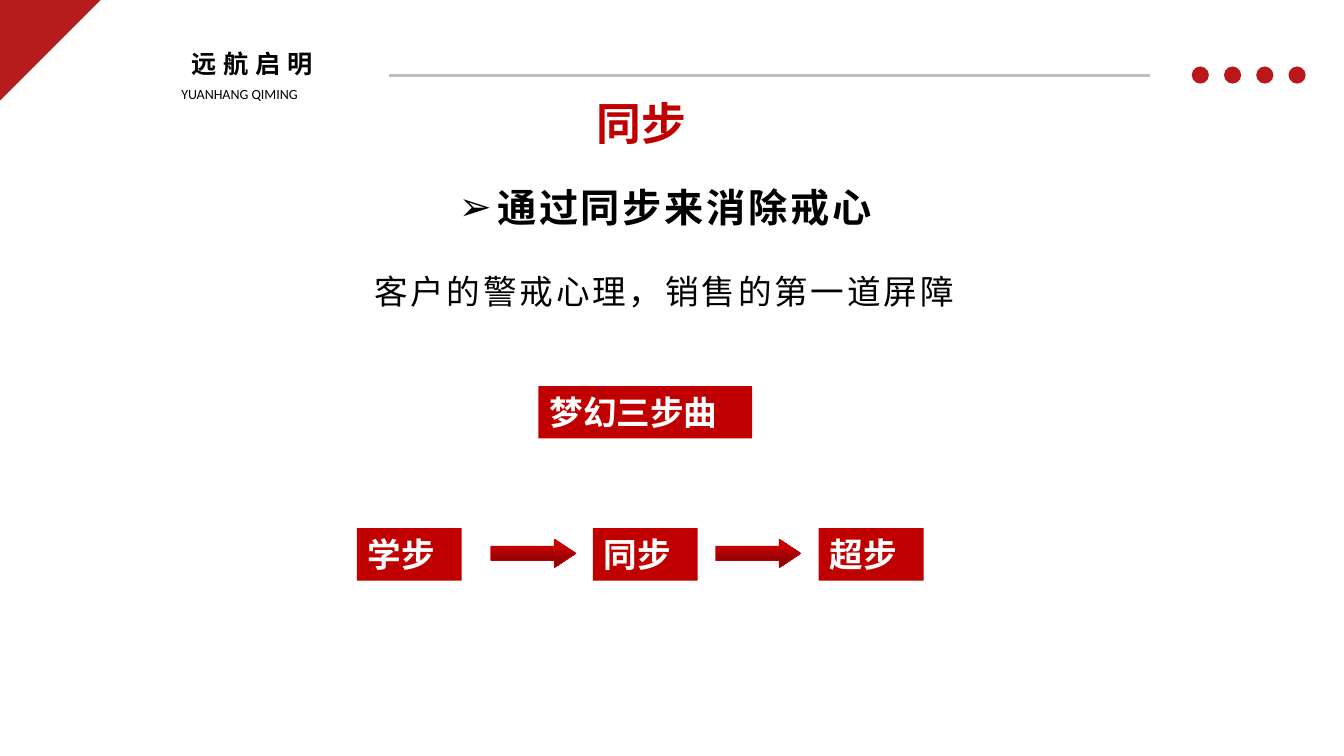
"""Build the slide on synchronising steps to win a customer's trust."""
from lxml import etree
from pptx import Presentation, util as u
from pptx.dml.color import RGBColor
from pptx.enum import shapes, text
from pptx.oxml.ns import qn

RED = RGBColor(0xC0, 0x00, 0x00)
WEDGE = RGBColor(0xB7, 0x1C, 0x1C)
DOT = RGBColor(0xB9, 0x17, 0x1C)
LIGHT = RGBColor(0xE3, 0x00, 0x00)
DARK = RGBColor(0x76, 0x03, 0x03)
GREY = RGBColor(0xBF, 0xBF, 0xBF)
BLACK = RGBColor(0, 0, 0)
WHITE = RGBColor(255, 255, 255)
CJK = "Noto Sans CJK SC"
LEFT, MID = text.PP_ALIGN.LEFT, text.PP_ALIGN.CENTER


def write(par, words, color, align=LEFT, gap=0, face=CJK, **look):
    run = par.add_run()
    run.text = words
    par.alignment = align
    for key, val in {"name": face, "bold": True, **look}.items():
        setattr(run.font, key, val)
    run.font.color.rgb = color
    props = run.font._element
    etree.SubElement(props, qn("a:ea"), typeface=CJK)
    if gap:
        props.set("spc", str(gap * 100))


def place(shape, left, top, width, height):
    spots = {"left": left, "top": top, "width": width, "height": height}
    for key, val in spots.items():
        setattr(shape, key, u.Inches(val))


prs = Presentation()
prs.slide_width, prs.slide_height = u.Inches(13.33), u.Inches(7.5)
slide = prs.slides.add_slide(prs.slide_layouts[1])
items = slide.shapes
title, body = slide.placeholders

pen = items.build_freeform(0, 0, scale=u.Inches(1))
pen.add_line_segments([(0.54, 0), (0, 1.39)], close=True)
wedge = pen.convert_to_shape()
wedge.shadow.inherit = False
wedge.fill.solid()
wedge.fill.fore_color.rgb = WEDGE
wedge.line.fill.background()

for words, spot, look in [
    ("远航启明", (1.8, 0.43, 1.51, 0.4),
     {"size": u.Pt(18), "face": "Noto Sans CJK JP", "gap": 5}),
    ("YUANHANG QIMING", (1.7, 0.8, 1.64, 0.27),
     {"size": u.Pt(10), "face": "Calibri", "bold": False}),
]:
    label = items.add_textbox(*map(u.Inches, spot))
    label.text_frame.word_wrap = True
    write(label.text_frame.paragraphs[0], words, BLACK, **look)

rule = items.add_connector(shapes.MSO_CONNECTOR.STRAIGHT,
                           *map(u.Inches, (3.86, 0.75, 11.41, 0.75)))
rule.line.color.rgb = GREY
rule.line.width = u.Pt(2.25)
etree.SubElement(rule._element.spPr, qn("a:effectLst"))

for step in range(4):
    dot = items.add_shape(shapes.MSO_SHAPE.OVAL,
                          *map(u.Inches, (11.82 + 0.32 * step, 0.66, 0.17, 0.17)))
    dot.shadow.inherit = False
    dot.fill.solid()
    dot.fill.fore_color.rgb = DOT
    dot.line.fill.background()

place(title, 5.8, 0.9, 1.12, 0.64)
title.text_frame.auto_size = text.MSO_AUTO_SIZE.SHAPE_TO_FIT_TEXT
title.text_frame.vertical_anchor = text.MSO_ANCHOR.MIDDLE
write(title.text_frame.paragraphs[0], "同步", RED, MID, face="Arial", size=u.Pt(32))

place(body, 3.61, 1.3, 5.98, 1.85)
frame = body.text_frame
frame.word_wrap = False
frame.auto_size = text.MSO_AUTO_SIZE.SHAPE_TO_FIT_TEXT
head, note = frame.paragraphs[0], frame.add_paragraph()
write(head, "通过同步来消除戒心", BLACK, MID, gap=2, size=u.Pt(28))
write(note, "客户的警戒心理，销售的第一道屏障", BLACK, gap=2, face="Calibri",
      size=u.Pt(24), bold=False)
for par, inset, tag, mark in [(head, 0.38, "a:buChar", {"char": "➢"}),
                              (note, 0, "a:buNone", {})]:
    par.line_spacing = 2.0
    par.space_before = u.Pt(0)
    props = par._p.get_or_add_pPr()
    props.set("marL", str(u.Inches(inset)))
    props.set("indent", str(-u.Inches(inset)))
    etree.SubElement(props, qn(tag), **mark)

for words, left, top, width, face in [
    ("梦幻三步曲", 5.34, 3.83, 2.12, CJK),
    ("学步", 3.54, 5.24, 1.04, "Calibri"),
    ("同步", 5.88, 5.24, 1.04, "Calibri"),
    ("超步", 8.12, 5.24, 1.04, "Calibri"),
]:
    box = items.add_shape(shapes.MSO_SHAPE.RECTANGLE,
                          *map(u.Inches, (left, top, width, 0.52)))
    box.shadow.inherit = False
    box.fill.solid()
    box.fill.fore_color.rgb = RED
    box.line.fill.background()
    frame = box.text_frame
    for key, val in {"margin_left": 0.11, "margin_right": 0.11,
                     "margin_top": 0.06, "margin_bottom": 0.06}.items():
        setattr(frame, key, u.Inches(val))
    frame.vertical_anchor = text.MSO_ANCHOR.TOP
    write(frame.paragraphs[0], words, WHITE, face=face, size=u.Pt(24))

for left in (4.87, 7.1):
    arrow = items.add_shape(shapes.MSO_SHAPE.RIGHT_ARROW,
                            *map(u.Inches, (left, 5.35, 0.84, 0.28)))
    arrow.shadow.inherit = False
    arrow.adjustments[0], arrow.adjustments[1] = 0.5, 0.75
    arrow.fill.gradient()
    arrow.fill.gradient_angle = 270
    for stop, color in zip(arrow.fill.gradient_stops, (LIGHT, DARK)):
        stop.color.rgb = color
    arrow.line.color.rgb = RED
    arrow.line.width = u.Pt(0.75)

prs.save("out.pptx")
